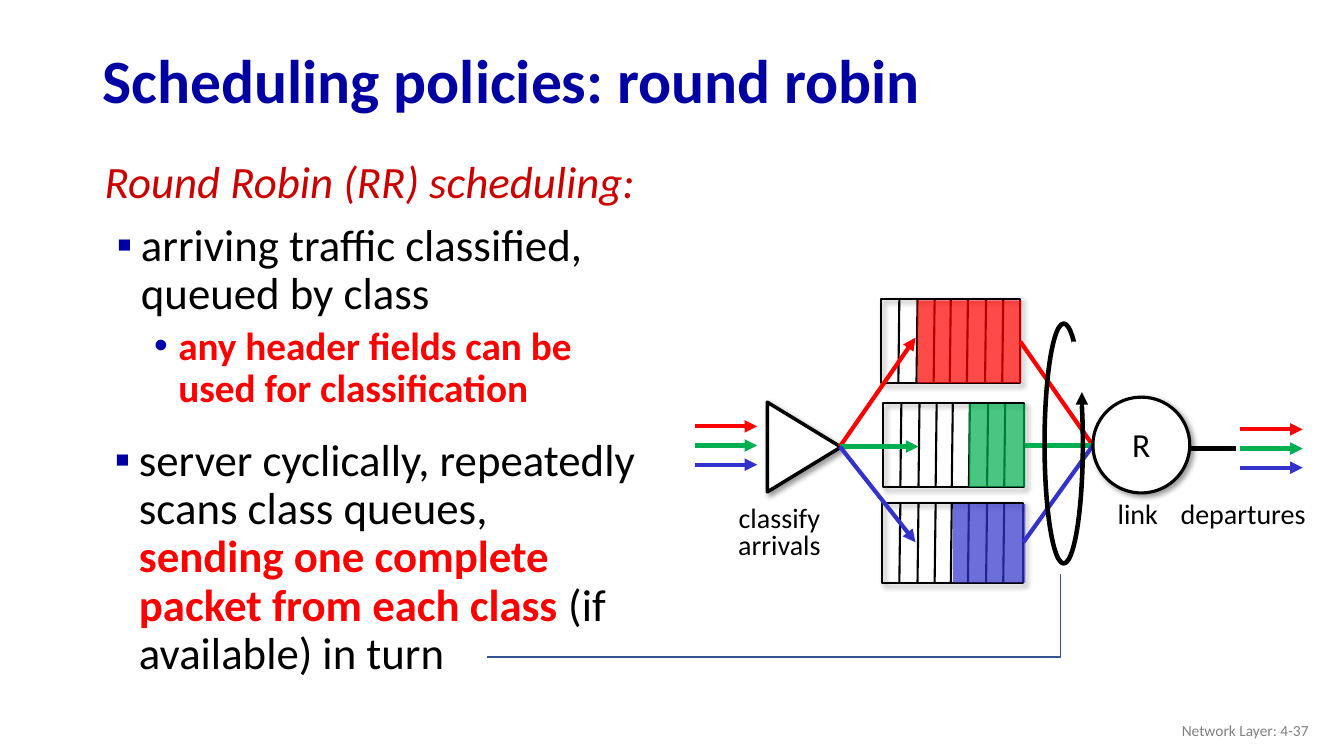
"""Build the slide on round robin scheduling."""
from lxml.etree import SubElement
from pptx import Presentation
from pptx.dml.color import RGBColor
from pptx.enum.shapes import MSO_CONNECTOR, MSO_SHAPE
from pptx.enum.text import MSO_ANCHOR, PP_ALIGN
from pptx.oxml.ns import qn
from pptx.util import Pt

PX = 9144
INK = {
    "black": "000000", "white": "FFFFFF", "red": "FF0000", "green": "00B050",
    "blue": "3333CC", "navy": "0000A3", "dot": "0000A8", "brick": "CC0000",
    "gray": "808080", "call": "325491",
}
COLORS = ("red", "green", "blue")

deck = Presentation()
deck.slide_width, deck.slide_height = 1333 * PX, 750 * PX
slide = deck.slides.add_slide(deck.slide_layouts[6])
shapes = slide.shapes


def draw(kind, box, fill=None, width=None, alpha=None, shade=False):
    shape = shapes.add_shape(kind, *[n * PX for n in box])
    shape.shadow.inherit = False
    if fill:
        shape.fill.solid()
        shape.fill.fore_color.rgb = RGBColor.from_string(INK[fill])
    else:
        shape.fill.background()
    if width:
        shape.line.color.rgb = RGBColor.from_string(INK["black"])
        shape.line.width = Pt(width)
    else:
        shape.line.fill.background()
    if alpha:
        tint = shape.element.xpath("./p:spPr/a:solidFill/a:srgbClr")[0]
        SubElement(tint, qn("a:alpha"), val=str(alpha * 1000))
    if shade:
        effect = shape.element.xpath("./p:spPr/a:effectLst")[0]
        cast = SubElement(effect, qn("a:outerShdw"), blurRad=str(Pt(4)),
                          dist=str(Pt(3)), dir="2700000", algn="tl", rotWithShape="0")
        tint = SubElement(cast, qn("a:srgbClr"), val=INK["black"])
        SubElement(tint, qn("a:alpha"), val="40000")
    return shape


def link(start, end, color, width=3, arrow=False):
    line = shapes.add_connector(MSO_CONNECTOR.STRAIGHT, *[n * PX for n in start + end])
    line.line.color.rgb = RGBColor.from_string(INK[color])
    line.line.width = Pt(width)
    if arrow:
        SubElement(line.element.xpath(".//a:ln")[0], qn("a:tailEnd"), type="triangle")
    SubElement(line.element.spPr, qn("a:effectLst"))


link((1176, 445), (1226, 445), "black")

queues = [
    (874, 297, 138, 83, 36, 103, "red"),
    (876, 400, 140, 83, 85, 56, "green"),
    (875, 499, 140, 79, 70, 72, "blue"),
]
for left, top, wide, high, skip, span, color in queues:
    draw(MSO_SHAPE.RECTANGLE, (left, top, wide, high), width=1.5, shade=True)
    for gap in (18, 36, 53, 69, 86, 104, 121):
        link((left + gap, top), (left + gap - 1, top + high), "black", 1.5)
    draw(MSO_SHAPE.RECTANGLE, (left + skip, top + 1, span, high - 1), color, alpha=71)

split = draw(MSO_SHAPE.ISOSCELES_TRIANGLE, (753, 407, 89, 73), "white", 2.5, shade=True)
split.rotation = 90

for left, top in ((689, 423), (1230, 426)):
    for row, color in enumerate(COLORS):
        y = top + 19 * row
        link((left, y), (left + 62, y), color, arrow=True)

paths = [
    ((908, 335), (1012, 339)),
    ((911, 443), (1017, 442)),
    ((908, 538), (1015, 538)),
]
for color, (goal, leave) in zip(COLORS, paths):
    link((833, 443), goal, color, arrow=True)
    link(leave, (1084, 442), color)

draw(MSO_SHAPE.OVAL, (1084, 394, 96, 95), "white", 2.25, shade=True)
draw(MSO_SHAPE.OVAL, (1036, 321, 38, 238), width=3.25)
draw(MSO_SHAPE.RECTANGLE, (1063, 339, 21, 64), "white")
link((1073, 418), (1073, 389), "black", arrow=True)

trace = shapes.build_freeform(483, 652, scale=PX)
trace.add_line_segments([(1052, 652), (1052, 569)], close=False)
call = trace.convert_to_shape()
call.shadow.inherit = False
call.fill.background()
call.line.color.rgb = RGBColor.from_string(INK["call"])
call.line.width = Pt(1)

HEAD = {"size": Pt(44), "bold": True, "ink": "navy"}
LEAD = {"size": Pt(32), "italic": True, "ink": "brick"}
BODY = {"size": Pt(32), "ink": "black"}
KEY = {"size": Pt(32), "bold": True, "ink": "red"}
SUB = {"size": Pt(28), "bold": True, "ink": "red"}
TAG = {"size": Pt(20), "ink": "black"}
NODE = {"size": Pt(24), "ink": "black"}
FOOT = {"size": Pt(11), "ink": "gray"}

FLAT = {"line_spacing": 0.9}
MID = {"alignment": PP_ALIGN.CENTER, "line_spacing": 0.8}
END = {"alignment": PP_ALIGN.RIGHT}
NEXT = {"line_spacing": 0.9, "space_before": Pt(10)}
DEEP = {"line_spacing": 0.9, "space_before": Pt(5), "level": 1}
WRAP = {"word_wrap": True}
FREE = {"word_wrap": False}
CORE = {"word_wrap": True, "vertical_anchor": MSO_ANCHOR.MIDDLE}
SQUARE = ("▪", "navy")

texts = [
    ((92, 34, 1150, 98), CORE, [
        (FLAT, 0, None, [("Scheduling policies: round robin", HEAD)]),
    ]),
    ((79, 154, 564, 275), WRAP, [
        (FLAT, 39, None, [("Round Robin (RR) scheduling:", LEAD)]),
        (NEXT, 51, SQUARE, [("arriving traffic classified, queued by class", BODY)]),
        (DEEP, 88, ("•", "dot"),
         [("any header fields can be used for classification", SUB)]),
    ]),
    ((77, 429, 564, 257), WRAP, [
        (FLAT, 51, SQUARE, [
            ("server cyclically, repeatedly scans class queues, ", BODY),
            ("sending one complete packet from each class ", KEY),
            ("(if available) in turn", BODY),
        ]),
    ]),
    ((719, 498, 108, 65), FREE, [
        (MID, 0, None, [("classify", TAG)]),
        (MID, 0, None, [("arrivals", TAG)]),
    ]),
    ((1160, 494, 146, 38), FREE, [(MID, 0, None, [("departures", TAG)])]),
    ((1098, 494, 61, 38), FREE, [(MID, 0, None, [("link", TAG)])]),
    ((1113, 423, 38, 43), FREE, [(MID, 0, None, [("R", NODE)])]),
    ((1008, 705, 300, 40), CORE, [(END, 0, None, [("Network Layer: 4-37", FOOT)])]),
]
for box, look, paras in texts:
    frame = shapes.add_textbox(*[n * PX for n in box]).text_frame
    for name, value in look.items():
        setattr(frame, name, value)
    for row, (form, left, mark, runs) in enumerate(paras):
        para = frame.add_paragraph() if row else frame.paragraphs[0]
        for name, value in form.items():
            setattr(para, name, value)
        props = para._p.get_or_add_pPr()
        if left:
            props.set("marL", str(left * PX))
            props.set("indent", str(-24 * PX))
        if mark:
            sign, color = mark
            SubElement(SubElement(props, qn("a:buClr")), qn("a:srgbClr"), val=INK[color])
            SubElement(props, qn("a:buFont"), typeface="Arial")
            SubElement(props, qn("a:buChar"), char=sign)
        for words, style in runs:
            run = para.add_run()
            run.text = words
            run.font.name = "Calibri"
            for name, value in style.items():
                if name == "ink":
                    run.font.color.rgb = RGBColor.from_string(INK[value])
                else:
                    setattr(run.font, name, value)

deck.save("out.pptx")
